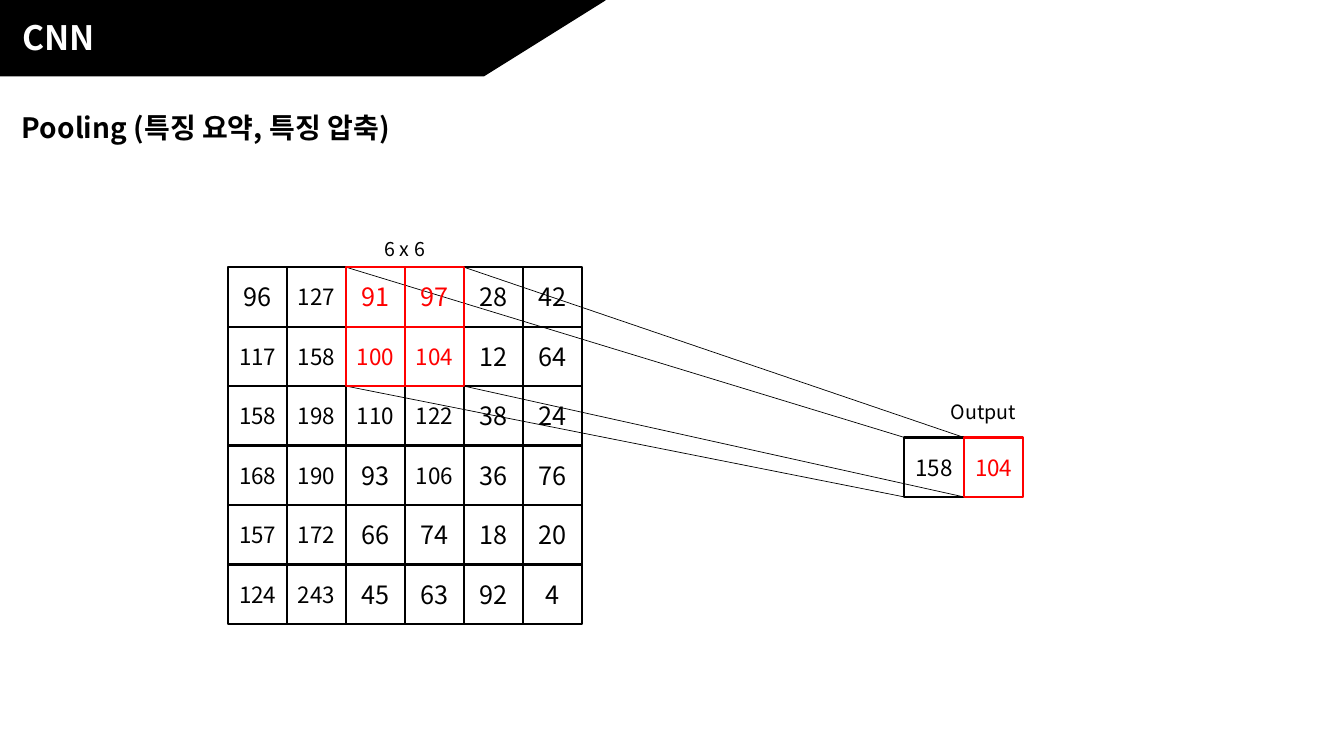
"""Build the CNN pooling slide: a 6 x 6 grid projected onto its pooled output."""
from dataclasses import dataclass
from itertools import product

from lxml.etree import SubElement
from pptx import Presentation
from pptx.dml.color import RGBColor
from pptx.enum.shapes import MSO_CONNECTOR as CONN, MSO_SHAPE as SHAPE
from pptx.enum.text import MSO_ANCHOR as ANCHOR, MSO_AUTO_SIZE as AUTO, PP_ALIGN as ALIGN
from pptx.oxml.ns import qn
from pptx.util import Inches, Pt

FONT = "Noto Sans CJK KR"
BLACK, WHITE, RED = "000000", "FFFFFF", "FF0000"

CELL = 0.59
COLUMN = 3.51 / 6
GRID_LEFT, GRID_TOP = 2.26, 2.65
OUT_LEFT, OUT_TOP = 8.97, 4.34
GRID = [
    [96, 127, 91, 97, 28, 42],
    [117, 158, 100, 104, 12, 64],
    [158, 198, 110, 122, 38, 24],
    [168, 190, 93, 106, 36, 76],
    [157, 172, 66, 74, 18, 20],
    [124, 243, 45, 63, 92, 4],
]
WINDOW_ROWS, WINDOW_COLS = (0, 1), (2, 3)


@dataclass
class Cell:
    value: int
    left: float
    top: float
    size: int
    color: str = BLACK


@dataclass
class Label:
    text: str
    left: float
    top: float
    width: float
    height: float
    size: int
    bold: bool = False
    align: ALIGN = ALIGN.LEFT


LABELS = [
    Label("Pooling (특징 요약, 특징 압축)", 0.12, 1.05, 8.44, 0.44, 20, bold=True),
    Label("6 x 6", 3.13, 2.3, 1.77, 0.34, 14, align=ALIGN.CENTER),
    Label("Output", 8.87, 3.92, 1.77, 0.34, 14, align=ALIGN.CENTER),
]


def rgb(color: str) -> RGBColor:
    return RGBColor.from_string(color)


def write(sp, text: str, *, size: int, color: str = BLACK, bold: bool = False,
          align: ALIGN = ALIGN.LEFT, anchor: ANCHOR = ANCHOR.TOP) -> None:
    tf = sp.text_frame
    tf.word_wrap = True
    tf.vertical_anchor = anchor
    p = tf.paragraphs[0]
    p.alignment = align
    r = p.add_run()
    r.text = text
    r.font.size, r.font.bold, r.font.name = Pt(size), bold, FONT
    r.font.color.rgb = rgb(color)
    SubElement(r.font._element, qn("a:ea"), typeface=FONT)


def add_shape(s, kind: SHAPE, left: float, top: float, width: float, height: float,
              *, line: str, line_width: float, fill: str = ""):
    sp = s.shapes.add_shape(kind, Inches(left), Inches(top), Inches(width), Inches(height))
    sp.shadow.inherit = False
    if fill:
        sp.fill.solid()
        sp.fill.fore_color.rgb = rgb(fill)
    else:
        sp.fill.background()
    sp.line.color.rgb = rgb(line)
    sp.line.width = Pt(line_width)
    return sp


def add_cell(s, cell: Cell) -> None:
    sp = add_shape(s, SHAPE.RECTANGLE, cell.left, cell.top, CELL, CELL,
                   line=cell.color, line_width=1.5)
    tf = sp.text_frame
    tf.margin_left = tf.margin_right = 0
    write(sp, str(cell.value), size=cell.size, color=cell.color,
          align=ALIGN.CENTER, anchor=ANCHOR.MIDDLE)


def add_label(s, label: Label) -> None:
    sp = s.shapes.add_textbox(Inches(label.left), Inches(label.top),
                              Inches(label.width), Inches(label.height))
    write(sp, label.text, size=label.size, bold=label.bold, align=label.align)
    sp.text_frame.auto_size = AUTO.SHAPE_TO_FIT_TEXT


def add_line(s, x1: float, y1: float, x2: float, y2: float) -> None:
    ln = s.shapes.add_connector(CONN.STRAIGHT, Inches(x1), Inches(y1), Inches(x2), Inches(y2))
    ln.line.color.rgb = rgb(BLACK)
    ln.line.width = Pt(0.5)
    SubElement(ln.element.spPr, qn("a:effectLst"))


def add_header(s) -> None:
    for kind, width in ((SHAPE.RECTANGLE, 1.98), (SHAPE.FLOWCHART_DATA, 6)):
        add_shape(s, kind, 0, 0, width, 0.75, line=BLACK, line_width=1, fill=BLACK)
    title = s.shapes.title
    title.left, title.top = Inches(0.12), Inches(0.12)
    title.width, title.height = Inches(3.71), Inches(0.5)
    write(title, "CNN", size=24, color=WHITE, bold=True)
    title.text_frame.auto_size = AUTO.SHAPE_TO_FIT_TEXT
    s.shapes.element.append(title.element)


def grid_cells() -> list[Cell]:
    cells = []
    for (row, values), col in product(enumerate(GRID), range(6)):
        value = values[col]
        pooled = row in WINDOW_ROWS and col in WINDOW_COLS
        cells.append(Cell(value, GRID_LEFT + col * COLUMN, GRID_TOP + row * CELL,
                          16 if value > 99 else 18, RED if pooled else BLACK))
    return sorted(cells, key=lambda cell: cell.color == RED)


def main() -> None:
    prs = Presentation()
    prs.slide_width, prs.slide_height = Inches(13.33), Inches(7.5)
    s = prs.slides.add_slide(prs.slide_layouts[5])
    add_header(s)
    for label in LABELS:
        add_label(s, label)
    for right, bottom in product((0, 1), repeat=2):
        add_line(s, GRID_LEFT + (2 + 2 * right) * COLUMN, GRID_TOP + 2 * bottom * CELL,
                 OUT_LEFT + right * CELL, OUT_TOP + bottom * CELL)
    outputs = [Cell(158, OUT_LEFT, OUT_TOP, 16), Cell(104, OUT_LEFT + CELL, OUT_TOP, 16, RED)]
    for cell in outputs + grid_cells():
        add_cell(s, cell)
    prs.save("out.pptx")


if __name__ == "__main__":
    main()
